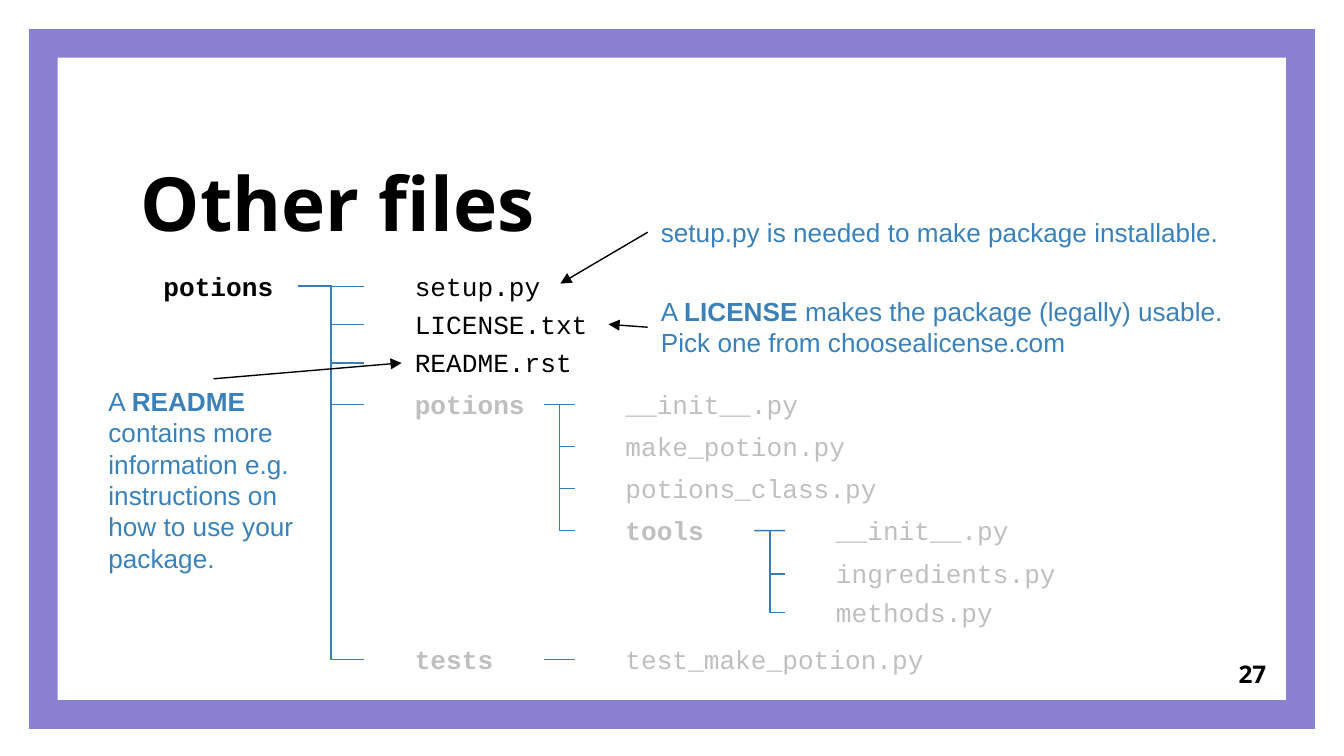
from dataclasses import dataclass

from pptx import Presentation
from pptx import util as u
from pptx.dml.color import RGBColor
from pptx.enum import shapes, text
from pptx.oxml import ns, xmlchemy

COLORS = {
    "frame": "8B81D2",
    "white": "FFFFFF",
    "black": "000000",
    "faded": "BFBFBF",
    "branch": "367EB9",
    "note": "3A81BA",
}
TOP, LEFT, RIGHT = 0, 1, 3  # connection sites of a rectangle
COLUMN_LEFT, COLUMN_STEP = 6.88, 3.98
MARKER_WIDTH, MARKER_HEIGHT = 0.64, 1.07
LABEL_OFFSET, LABEL_HEIGHT = 0.71, 0.86


@dataclass
class Entry:
    """A file or folder; lengths are in centimetres."""
    name: str
    middle: float
    width: float
    color: str = "faded"
    children: tuple = ()


@dataclass
class Note:
    pieces: tuple  # (text, bold) pairs; "\n" stands for a line break
    left: float
    top: float
    width: float
    height: float
    site: int


TREE = (
    Entry("setup.py", 5.41, 3.63, "black"),
    Entry("LICENSE.txt", 6.13, 3.91, "black"),
    Entry("README.rst", 6.86, 3.63, "black"),
    Entry("potions", 7.65, 2.69, children=(
        Entry("__init__.py", 7.65, 3.94),
        Entry("make_potion.py", 8.44, 5.08),
        Entry("potions_class.py", 9.23, 5.51),
        Entry("tools", 10.03, 2.69, children=(
            Entry("__init__.py", 10.03, 3.94),
            Entry("ingredients.py", 10.85, 5.08),
            Entry("methods.py", 11.58, 5.51),
        )),
    )),
    Entry("tests", 12.47, 2.69, children=(
        Entry("test_make_potion.py", 12.47, 6.22),
    )),
)

SETUP_NOTE = Note((("setup.py is needed to make package installable.", False),),
                  12.24, 3.96, 12.09, 0.86, LEFT)
LICENSE_NOTE = Note((("A ", False), ("LICENSE", True),
                     (" makes the package (legally) usable.", False), ("\n", False),
                     ("Pick one from choosealicense.com", False)),
                    12.24, 5.46, 12.09, 1.45, LEFT)
README_NOTE = Note((("A ", False), ("README", True),
                    (" contains more information e.g. instructions on how to use "
                     "your package.", False)),
                   1.8, 7.16, 4.47, 3.84, TOP)


def rgb(color: str) -> RGBColor:
    return RGBColor.from_string(COLORS[color])


def add_run(paragraph, content: str, font: str, size: float, color: str, bold=False):
    run = paragraph.add_run()
    run.text = content
    run.font.name, run.font.size, run.font.bold = font, u.Pt(size), bold
    run.font.color.rgb = rgb(color)


def set_margins(frame, margin: float):
    frame.margin_left = frame.margin_right = u.Cm(margin)
    frame.margin_top = frame.margin_bottom = u.Cm(margin)


def add_box(slide, left: float, top: float, width: float, height: float):
    box = slide.shapes.add_textbox(u.Cm(left), u.Cm(top), u.Cm(width), u.Cm(height))
    box.text_frame.word_wrap = True
    return box


def add_shape(slide, kind, color: str, left: float, top: float, width: float, height: float):
    shape = slide.shapes.add_shape(kind, u.Cm(left), u.Cm(top), u.Cm(width), u.Cm(height))
    shape.shadow.inherit = False
    shape.fill.solid()
    shape.fill.fore_color.rgb = rgb(color)
    shape.line.fill.background()
    return shape


def add_line(slide, kind, color: str, end=(0, 0)):
    connector = slide.shapes.add_connector(kind, 0, 0, *map(u.Cm, end))
    connector.line.color.rgb = rgb(color)
    connector.line.width = u.Pt(0.75)
    connector.element.spPr.append(xmlchemy.OxmlElement("a:effectLst"))
    return connector


def add_branch(slide, parent, marker, straight: bool):
    kind = shapes.MSO_CONNECTOR.STRAIGHT if straight else shapes.MSO_CONNECTOR.ELBOW
    connector = add_line(slide, kind, "branch")
    connector.begin_connect(parent, RIGHT)
    connector.end_connect(marker, LEFT)


def add_entries(slide, entries: tuple, parent, parent_middle: float, column: int = 0) -> dict:
    """Draw one level of the tree and those below; return its labels by name."""
    labels = {}
    left = COLUMN_LEFT + column * COLUMN_STEP
    for entry in entries:
        marker = add_shape(slide, shapes.MSO_SHAPE.RECTANGLE, "white", left,
                           entry.middle - MARKER_HEIGHT / 2, MARKER_WIDTH, MARKER_HEIGHT)
        label = add_box(slide, left + LABEL_OFFSET, entry.middle - LABEL_HEIGHT / 2,
                        entry.width, LABEL_HEIGHT)
        label.text_frame.auto_size = text.MSO_AUTO_SIZE.SHAPE_TO_FIT_TEXT
        add_run(label.text_frame.paragraphs[0], entry.name, "Courier New", 14,
                entry.color, bool(entry.children))
        add_branch(slide, parent, marker, entry.middle == parent_middle)
        add_entries(slide, entry.children, label, entry.middle, column + 1)
        labels[entry.name] = label
    return labels


def add_note(slide, note: Note):
    box = add_box(slide, note.left, note.top, note.width, note.height)
    box.text_frame.auto_size = text.MSO_AUTO_SIZE.SHAPE_TO_FIT_TEXT
    paragraph = box.text_frame.paragraphs[0]
    for content, bold in note.pieces:
        if content == "\n":
            paragraph.add_line_break()
        else:
            add_run(paragraph, content, "Arial", 14, "note", bold)
    return box


def add_arrow(slide, note: Note, end=(0, 0)):
    """Draw a note with an arrow from its side to the end point."""
    box = add_note(slide, note)
    arrow = add_line(slide, shapes.MSO_CONNECTOR.STRAIGHT, "black", end)
    arrow.begin_connect(box, note.site)
    head = xmlchemy.OxmlElement("a:tailEnd")
    head.set("type", "triangle")
    arrow.element.spPr.find(ns.qn("a:ln")).append(head)
    return arrow


def add_title(slide):
    title = slide.shapes.title
    title.left, title.top, title.width, title.height = map(u.Cm, (2.41, 2.36, 14.15, 2.54))
    frame = title.text_frame
    frame.auto_size = text.MSO_AUTO_SIZE.NONE
    frame.vertical_anchor = text.MSO_ANCHOR.BOTTOM
    set_margins(frame, 0.25)
    frame.paragraphs[0].alignment = text.PP_ALIGN.LEFT
    add_run(frame.paragraphs[0], "Other files", "Noto Sans", 40, "black", True)


def add_page_number(slide):
    frame = add_box(slide, 22.66, 12.19, 1.52, 1.09).text_frame
    frame.vertical_anchor = text.MSO_ANCHOR.MIDDLE
    set_margins(frame, 0.25)
    frame.paragraphs[0].alignment = text.PP_ALIGN.RIGHT
    add_run(frame.paragraphs[0], "27", "Noto Sans", 13, "black", True)


def main():
    presentation = Presentation()
    presentation.slide_width, presentation.slide_height = u.Cm(25.4), u.Cm(14.29)
    slide = presentation.slides.add_slide(presentation.slide_layouts[5])

    border = add_shape(slide, shapes.MSO_SHAPE.FRAME, "frame", 0.55, 0.55, 24.3, 13.23)
    border.adjustments[0] = 0.041
    slide.shapes.title.element.addprevious(border.element)
    add_title(slide)
    add_page_number(slide)

    root_middle = TREE[0].middle
    root = add_shape(slide, shapes.MSO_SHAPE.RECTANGLE, "white", 2.84, root_middle - 0.4, 2.8, 0.8)
    root.text_frame.vertical_anchor = text.MSO_ANCHOR.MIDDLE
    root.text_frame.paragraphs[0].alignment = text.PP_ALIGN.LEFT
    add_run(root.text_frame.paragraphs[0], "potions", "Courier New", 14, "black", True)
    labels = add_entries(slide, TREE, root, root_middle)

    add_arrow(slide, SETUP_NOTE, (10.59, 5.36))
    add_arrow(slide, LICENSE_NOTE).end_connect(labels["LICENSE.txt"], RIGHT)
    add_arrow(slide, README_NOTE).end_connect(labels["README.rst"], LEFT)
    presentation.save("out.pptx")


if __name__ == "__main__":
    main()
